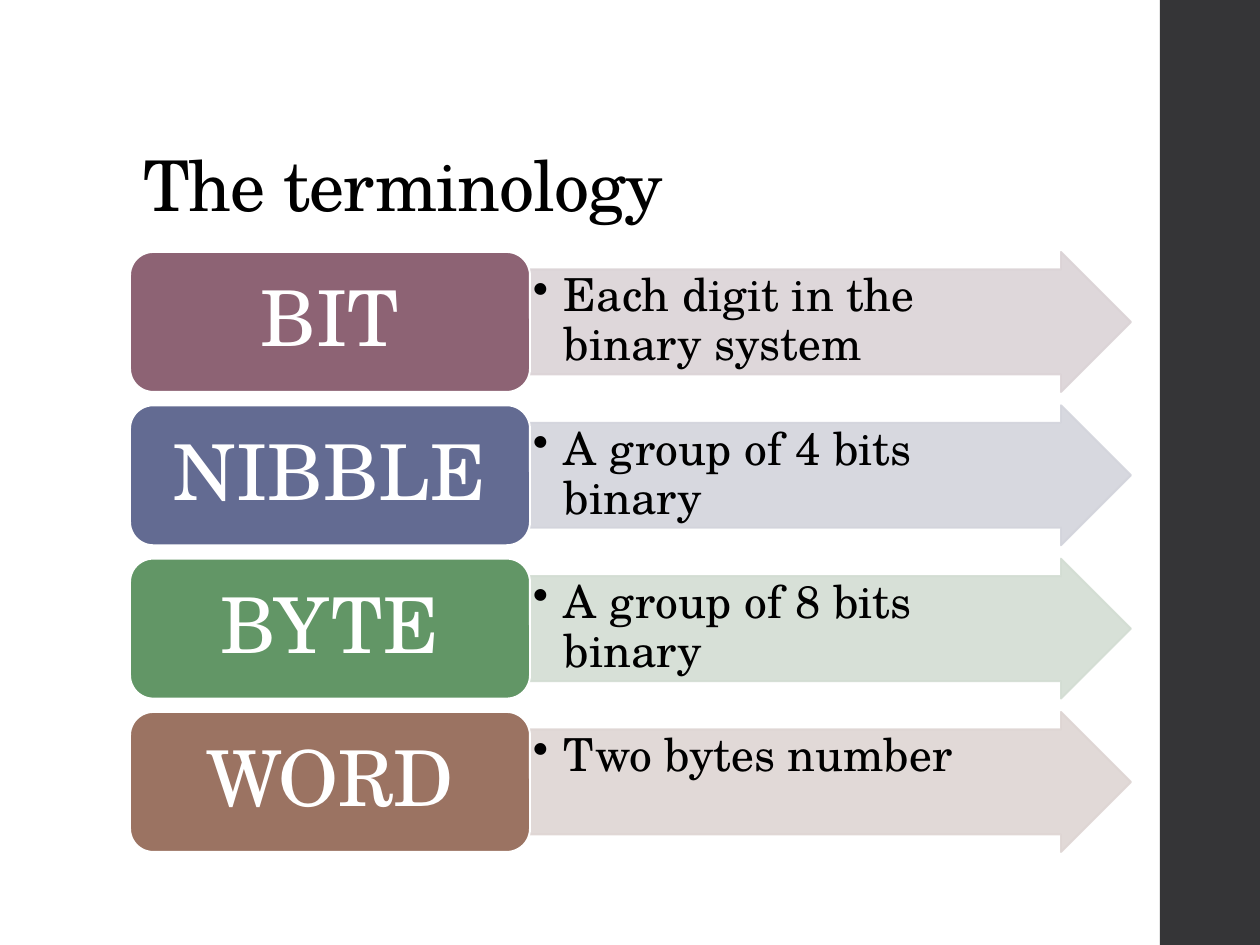
from lxml.etree import SubElement
from pptx import Presentation
from pptx.dml.color import RGBColor
from pptx.enum.shapes import MSO_SHAPE
from pptx.enum.text import MSO_ANCHOR, MSO_AUTO_SIZE, PP_ALIGN
from pptx.oxml.ns import qn
from pptx.util import Pt

PX = 914400 / 126
FONT = "TeX Gyre Schola"
BLACK = RGBColor(0x00, 0x00, 0x00)
WHITE = RGBColor(0xFF, 0xFF, 0xFF)
CHARCOAL = RGBColor(0x35, 0x35, 0x37)
PLUM, PALE_PLUM = RGBColor(0x8D, 0x63, 0x74), RGBColor(0xDB, 0xD3, 0xD6)
BLUE, PALE_BLUE = RGBColor(0x63, 0x6B, 0x92), RGBColor(0xD3, 0xD4, 0xDC)
GREEN, PALE_GREEN = RGBColor(0x62, 0x96, 0x66), RGBColor(0xD3, 0xDD, 0xD3)
BROWN, PALE_BROWN = RGBColor(0x9B, 0x73, 0x62), RGBColor(0xDE, 0xD5, 0xD3)

TITLE = "The terminology"
TERMS = [
    ("BIT", "Each digit in the binary system", PLUM, PALE_PLUM),
    ("NIBBLE", "A group of 4 bits binary", BLUE, PALE_BLUE),
    ("BYTE", "A group of 8 bits binary", GREEN, PALE_GREEN),
    ("WORD", "Two bytes number", BROWN, PALE_BROWN),
]

TERM_LEFT, TERM_WIDTH = 130, 400
ARROW_LEFT, ARROW_WIDTH = TERM_LEFT + TERM_WIDTH, 601
FIRST_TOP, LAST_TOP, ROW_HEIGHT = 252, 712, 140
BULLET_INDENT = 31


def emu(px):
    return round(px * PX)


def write(shape, text, *, size, color, align=PP_ALIGN.LEFT, anchor=MSO_ANCHOR.TOP,
          insets=(13, 6, 13, 6), bullet=False, spacing=None):
    frame = shape.text_frame
    frame.word_wrap = True
    frame.auto_size = MSO_AUTO_SIZE.NONE
    frame.vertical_anchor = anchor
    (frame.margin_left, frame.margin_top,
     frame.margin_right, frame.margin_bottom) = map(emu, insets)
    paragraph = frame.paragraphs[0]
    paragraph.alignment = align
    paragraph.line_spacing = 0.9
    if bullet:
        properties = paragraph._p.get_or_add_pPr()
        properties.set("marL", str(emu(BULLET_INDENT)))
        properties.set("indent", str(-emu(BULLET_INDENT)))
        SubElement(properties, qn("a:buChar"), char="•")
    run = paragraph.add_run()
    run.text = text
    run.font.name = FONT
    run.font.size = Pt(size)
    run.font.color.rgb = color
    if spacing is not None:
        run.font._element.set("spc", str(round(spacing * 100)))


def add_block(slide, preset, left, top, width, height, fill, line=None, opacity=None):
    block = slide.shapes.add_shape(preset, *map(emu, (left, top, width, height)))
    block.shadow.inherit = False
    block.fill.solid()
    block.fill.fore_color.rgb = fill
    if line is None:
        block.line.fill.background()
    else:
        block.line.color.rgb = line
        block.line.width = Pt(1.1)
    if opacity is not None:
        for color in block._element.spPr.iter(qn("a:srgbClr")):
            SubElement(color, qn("a:alpha"), val=str(opacity * 1000))
    return block


def main():
    presentation = Presentation()
    presentation.slide_width, presentation.slide_height = emu(1260), emu(945)
    slide = presentation.slides.add_slide(presentation.slide_layouts[5])

    add_block(slide, MSO_SHAPE.RECTANGLE, 1160, 0, 100, 945, CHARCOAL)

    title = slide.shapes.title
    title.left, title.top, title.width, title.height = map(emu, (130, 50, 1002, 183))
    write(title, TITLE, size=40, color=BLACK, anchor=MSO_ANCHOR.BOTTOM, spacing=-0.5)

    step = (LAST_TOP - FIRST_TOP) / (len(TERMS) - 1)
    for row, (term, meaning, strong, pale) in enumerate(TERMS):
        top = FIRST_TOP + row * step
        arrow = add_block(slide, MSO_SHAPE.RIGHT_ARROW, ARROW_LEFT, top, ARROW_WIDTH,
                          ROW_HEIGHT, pale, line=pale, opacity=90)
        arrow.adjustments[0] = 0.75
        arrow.adjustments[1] = 0.5
        write(arrow, meaning, size=26, color=BLACK, insets=(3, 3, 37, 3), bullet=True)

        label = add_block(slide, MSO_SHAPE.ROUNDED_RECTANGLE, TERM_LEFT, top, TERM_WIDTH,
                          ROW_HEIGHT, strong, line=WHITE)
        write(label, term, size=44, color=WHITE, align=PP_ALIGN.CENTER,
              anchor=MSO_ANCHOR.MIDDLE, insets=(23, 11, 23, 11))

    presentation.save("out.pptx")


if __name__ == "__main__":
    main()
